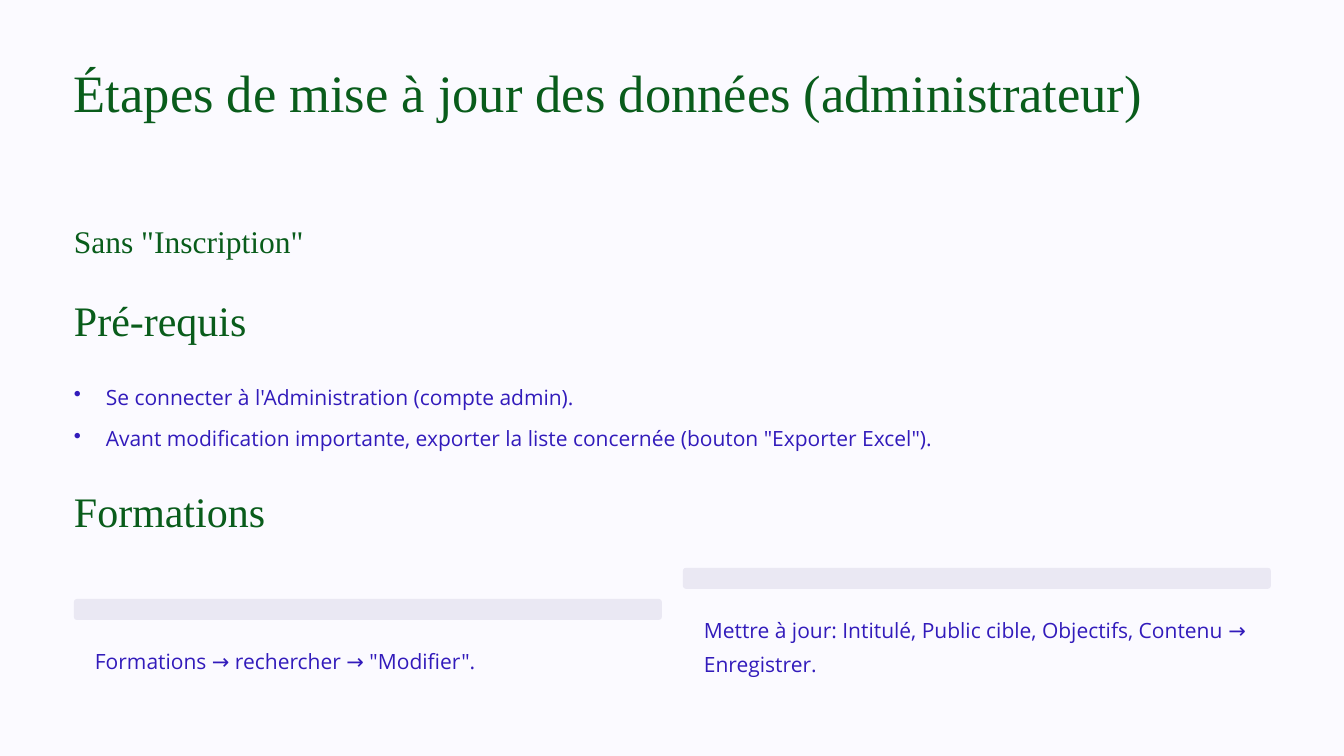
"""Build the slide on the data update steps for administrators."""
from dataclasses import dataclass

from lxml.etree import SubElement
from pptx import Presentation
from pptx.dml.color import RGBColor as Color
from pptx.enum.shapes import MSO_SHAPE as Shape
from pptx.enum.text import MSO_ANCHOR as Anchor, MSO_AUTO_SIZE as AutoSize, PP_ALIGN as Align
from pptx.oxml.ns import qn
from pptx.util import Pt

EMU_PER_PX = 9144


@dataclass(frozen=True)
class TextStyle:
    """Font, size, line height and colour of one kind of text."""
    font: str
    size: int
    leading: float
    color: str


@dataclass(frozen=True)
class Theme:
    """Colours and type styles of the slide."""
    background: str = "FBFAFF"
    bar: str = "EAE8F3"
    title: TextStyle = TextStyle("Times New Roman", 45, 56, "095C1B")
    heading: TextStyle = TextStyle("Times New Roman", 36, 45, "095C1B")
    subtitle: TextStyle = TextStyle("Times New Roman", 27, 33.5, "095C1B")
    body: TextStyle = TextStyle("Open Sans", 18, 28.5, "321BBB")


def px(length):
    """Turn px into EMU."""
    return length * EMU_PER_PX


class SlideBuilder:
    """Hold the theme and the current slide, and add elements to it."""

    def __init__(self, deck, theme):
        """Add a title-only slide with the theme background."""
        self.theme = theme
        self.page = deck.slides.add_slide(deck.slide_layouts[5])
        fill = self.page.background.fill
        fill.solid()
        fill.fore_color.rgb = Color.from_string(theme.background)

    def fill_box(self, box, text, style, wrap):
        """Fill a box with one styled paragraph and return the paragraph."""
        frame = box.text_frame
        frame.margin_left = frame.margin_top = 0
        frame.margin_right = frame.margin_bottom = 0
        frame.auto_size = AutoSize.NONE
        frame.word_wrap = wrap
        frame.vertical_anchor = Anchor.TOP
        para = frame.paragraphs[0]
        para.alignment = Align.LEFT
        para.line_spacing = Pt(style.leading)
        para.space_before = Pt(0)
        span = para.add_run()
        span.text = text
        span.font.name = style.font
        span.font.size = Pt(style.size)
        span.font.color.rgb = Color.from_string(style.color)
        return para

    def title(self, text, left, top, width, height):
        """Move and fill the title placeholder."""
        box = self.page.shapes.title
        box.left, box.top = px(left), px(top)
        box.width, box.height = px(width), px(height)
        self.fill_box(box, text, self.theme.title, True)

    def text(self, text, style, left, top, width, height, wrap=False):
        """Add a text box and return its paragraph."""
        box = self.page.shapes.add_textbox(px(left), px(top), px(width), px(height))
        return self.fill_box(box, text, style, wrap)

    def bullet(self, text, left, top, width, height, indent=38):
        """Add a text box with one bulleted paragraph."""
        para = self.text(text, self.theme.body, left, top, width, height)
        properties = para._p.get_or_add_pPr()
        properties.set("marL", str(px(indent)))
        properties.set("indent", str(-px(indent)))
        SubElement(properties, qn("a:buChar")).set("char", "•")

    def bar(self, left, top, width, height):
        """Add a plain rounded bar."""
        shape = self.page.shapes.add_shape(
            Shape.ROUNDED_RECTANGLE, px(left), px(top), px(width), px(height))
        shape.adjustments[0] = 0.15
        shape.shadow.inherit = False
        shape.fill.solid()
        shape.fill.fore_color.rgb = Color.from_string(self.theme.bar)
        shape.line.fill.background()

    def step(self, text, left, top, lines):
        """Add a bar with the step text below it."""
        self.bar(left, top, 700, 25)
        self.text(text, self.theme.body, left + 25, top + 50, 649, 40 * lines, lines > 1)


def main():
    """Build and save the deck."""
    deck = Presentation()
    deck.slide_width, deck.slide_height = px(1600), px(900)
    theme = Theme()
    slide = SlideBuilder(deck, theme)
    left, width = 88, 1424

    slide.title("Étapes de mise à jour des données (administrateur)", left, 69, width, 157)
    slide.text('Sans "Inscription"', theme.subtitle, left, 263, 376, 47)
    for heading, top in (("Pré‑requis", 348), ("Formations", 575)):
        slide.text(heading, theme.heading, left, top, 502, 63)

    requirements = (
        "Se connecter à l'Administration (compte admin).",
        'Avant modification importante, exporter la liste concernée (bouton "Exporter Excel").',
    )
    for row, requirement in enumerate(requirements):
        slide.bullet(requirement, left, 448 + 49 * row, width, 40)

    steps = (
        ('Formations → rechercher → "Modifier".', 713, 1),
        ("Mettre à jour: Intitulé, Public cible, Objectifs, Contenu → Enregistrer.", 676, 2),
    )
    for column, (text, top, lines) in enumerate(steps):
        slide.step(text, left + 725 * column, top, lines)

    deck.save("out.pptx")


if __name__ == "__main__":
    main()
